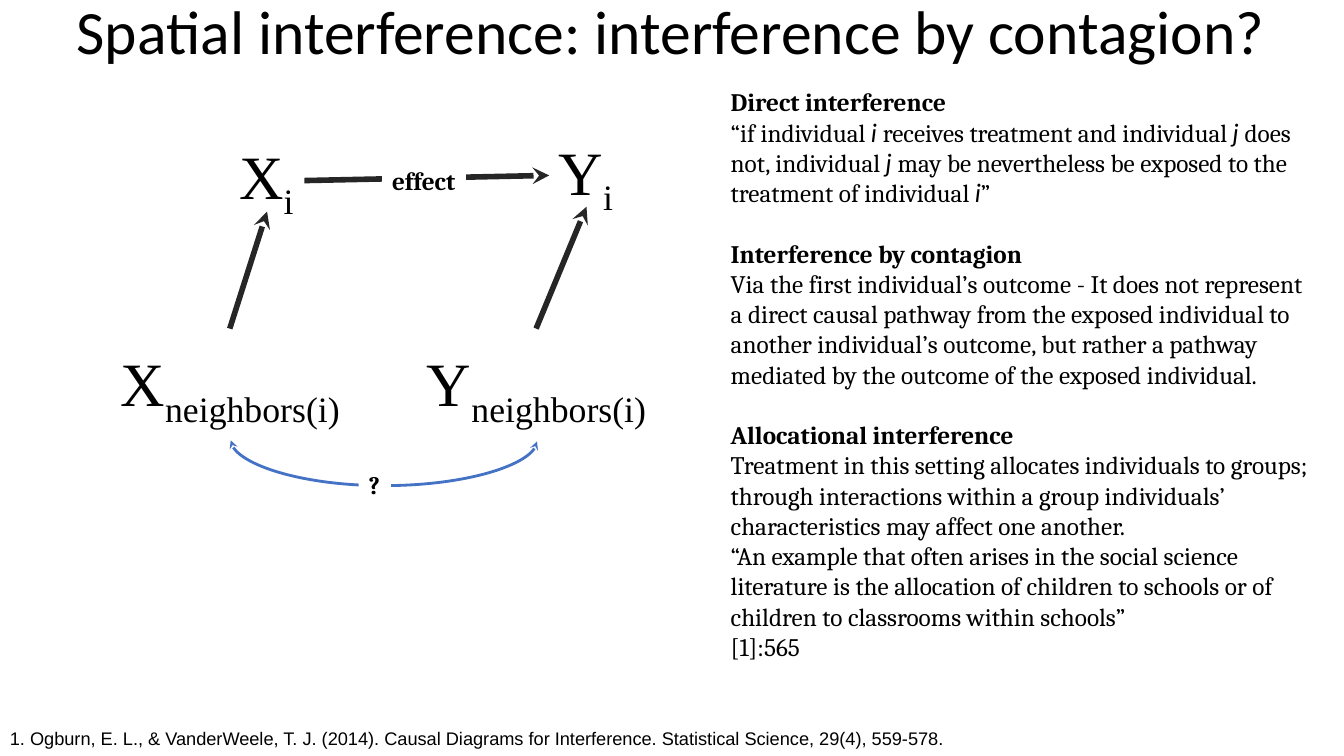
from lxml import etree
from pptx import Presentation
from pptx import util as u
from pptx.dml.color import RGBColor
from pptx.enum import shapes, text
from pptx.oxml.ns import qn

HUES = {"ink": "000000", "dark": "262626", "blue": "4472C4", "paper": "FFFFFF"}
NOTES = [
    "#Direct interference",
    "“if individual *i *receives treatment and individual *j *does",
    "not, individual *j *may be nevertheless be exposed to the",
    "treatment of individual *i*”",
    "#Interference by contagion",
    "Via the first individual’s outcome - It does not represent a direct causal "
    "pathway from the exposed individual to another individual’s outcome, but "
    "rather a pathway mediated by the outcome of the exposed individual.",
    "#Allocational interference",
    "Treatment in this setting allocates individuals to groups; through "
    "interactions within a group individuals’ characteristics may affect one another.",
    "“An example that often arises in the social science literature is the "
    "allocation of children to schools or of children to classrooms within schools”",
    "[1]:565",
]
CITE = ("1. Ogburn, E. L., & VanderWeele, T. J. (2014). Causal Diagrams for "
        "Interference. Statistical Science, 29(4), 559-578.")


def hue(key):
    """Return a named colour."""
    return RGBColor.from_string(HUES[key])


def place(item, box):
    """Move and size an item by a box in centimetres."""
    item.left, item.top, item.width, item.height = map(u.Cm, box)


def style(para, face, size, bold=False):
    """Set the font of a paragraph."""
    font = para.font
    font.name, font.size, font.bold = face, u.Pt(size), bold
    font.color.rgb = hue("ink")


def title(slide, words):
    """Fill the title placeholder."""
    head = slide.shapes.title
    place(head, (0.28, 0.18, 33.27, 1.65))
    frame = head.text_frame
    frame.text = words
    frame.auto_size = text.MSO_AUTO_SIZE.NONE
    frame.vertical_anchor = text.MSO_ANCHOR.BOTTOM
    para = frame.paragraphs[0]
    para.alignment, para.line_spacing = text.PP_ALIGN.CENTER, 0.9
    style(para, "Calibri", 44)


def body(slide, lines):
    """Fill the body placeholder; # marks a heading and * italics."""
    hold = slide.placeholders[1]
    place(hold, (18.16, 2.06, 15.06, 14.88))
    frame = hold.text_frame
    frame.auto_size = text.MSO_AUTO_SIZE.NONE
    for at, line in enumerate(lines):
        para = frame.add_paragraph() if at else frame.paragraphs[0]
        bold = line.startswith("#")
        para.space_before = u.Pt(21.6 if bold and at else 0)
        props = para._p.get_or_add_pPr()
        props.set("marL", "0")
        props.set("indent", "0")
        etree.SubElement(props, qn("a:buNone"))
        style(para, "Cambria", 18, bold)
        for part, piece in enumerate(line.lstrip("#").split("*")):
            run = para.add_run()
            run.text = piece
            if part % 2:
                run.font.name, run.font.italic = "Lato", True


def cite(slide, words):
    """Add the reference along the foot."""
    box = slide.shapes.add_textbox(*map(u.Cm, (0, 18.21, 33.86, 0.81)))
    box.text_frame.word_wrap = True
    box.text_frame.text = words
    style(box.text_frame.paragraphs[0], "Arial", 13)


def shape(slide, kind, box):
    """Add a bare shape whose text does not wrap."""
    item = slide.shapes.add_shape(kind, *map(u.Cm, box))
    item.shadow.inherit = False
    item.fill.background()
    item.line.fill.background()
    item.text_frame.word_wrap = False
    return item


def node(slide, name, sub, box, anchor):
    """Add a variable with its subscript."""
    frame = shape(slide, shapes.MSO_SHAPE.OVAL, box).text_frame
    frame.margin_left = frame.margin_right = 0
    frame.margin_top = frame.margin_bottom = 0
    frame.vertical_anchor = anchor
    para = frame.paragraphs[0]
    para.alignment = text.PP_ALIGN.CENTER
    style(para, "Times New Roman", 44)
    para.add_run().text = name
    low = para.add_run()
    low.text = sub
    low._r.get_or_add_rPr().set("baseline", "-25000")


def label(slide, words, box):
    """Add a white label that covers part of a line."""
    item = shape(slide, shapes.MSO_SHAPE.RECTANGLE, box)
    item.fill.solid()
    item.fill.fore_color.rgb = hue("paper")
    para = item.text_frame.paragraphs[0]
    para.text = words
    para.alignment = text.PP_ALIGN.LEFT
    style(para, "Cambria", 18, True)


def arrow(slide, ends, key, width, tips=("tailEnd",), kind=shapes.MSO_CONNECTOR.STRAIGHT):
    """Add a connector with stealth tips."""
    link = slide.shapes.add_connector(kind, *map(u.Cm, ends))
    link.line.color.rgb = hue(key)
    link.line.width = u.Pt(width)
    for tip in tips:
        etree.SubElement(link.line._get_or_add_ln(), qn("a:" + tip), type="stealth")
    etree.SubElement(link._element.spPr, qn("a:effectLst"))
    return link


def bow(slide, ends, bend):
    """Add a two-headed curve that sags below its ends."""
    link = arrow(slide, ends, "blue", 2, ("headEnd", "tailEnd"), shapes.MSO_CONNECTOR.CURVE)
    props = link._element.spPr
    props.find(qn("a:xfrm")).set("rot", "16200000")
    guides = props.find(qn("a:prstGeom")).find(qn("a:avLst"))
    etree.SubElement(guides, qn("a:gd"), name="adj1", fmla=f"val {bend}")


def main():
    """Build the slide and save it."""
    deck = Presentation()
    deck.slide_width, deck.slide_height = u.Cm(33.87), u.Cm(19.05)
    slide = deck.slides.add_slide(deck.slide_layouts[1])
    title(slide, "Spatial interference: interference by contagion?")
    body(slide, NOTES)
    cite(slide, CITE)
    for name, left, far, top in (("X", 5.79, 2.39, 3.76), ("Y", 13.84, 10.11, 3.66)):
        node(slide, name, "i", (left, top, 1.85, 1.55), text.MSO_ANCHOR.MIDDLE)
        node(slide, name, "neighbors(i)", (far, 8.28, 6.83, 2.84), text.MSO_ANCHOR.TOP)
    for ends in ((5.79, 8.28, 6.73, 5.33), (13.51, 8.28, 14.78, 5.21),
                 (7.67, 4.55, 13.84, 4.42)):
        arrow(slide, ends, "dark", 4)
    bow(slide, (9.69, 7.25, 9.66, 14.97), 3810000)
    label(slide, "?", (9.04, 11.71, 0.81, 1.02))
    label(slide, "effect", (9.63, 4.04, 2.11, 1.02))
    deck.save("out.pptx")


if __name__ == "__main__":
    main()
